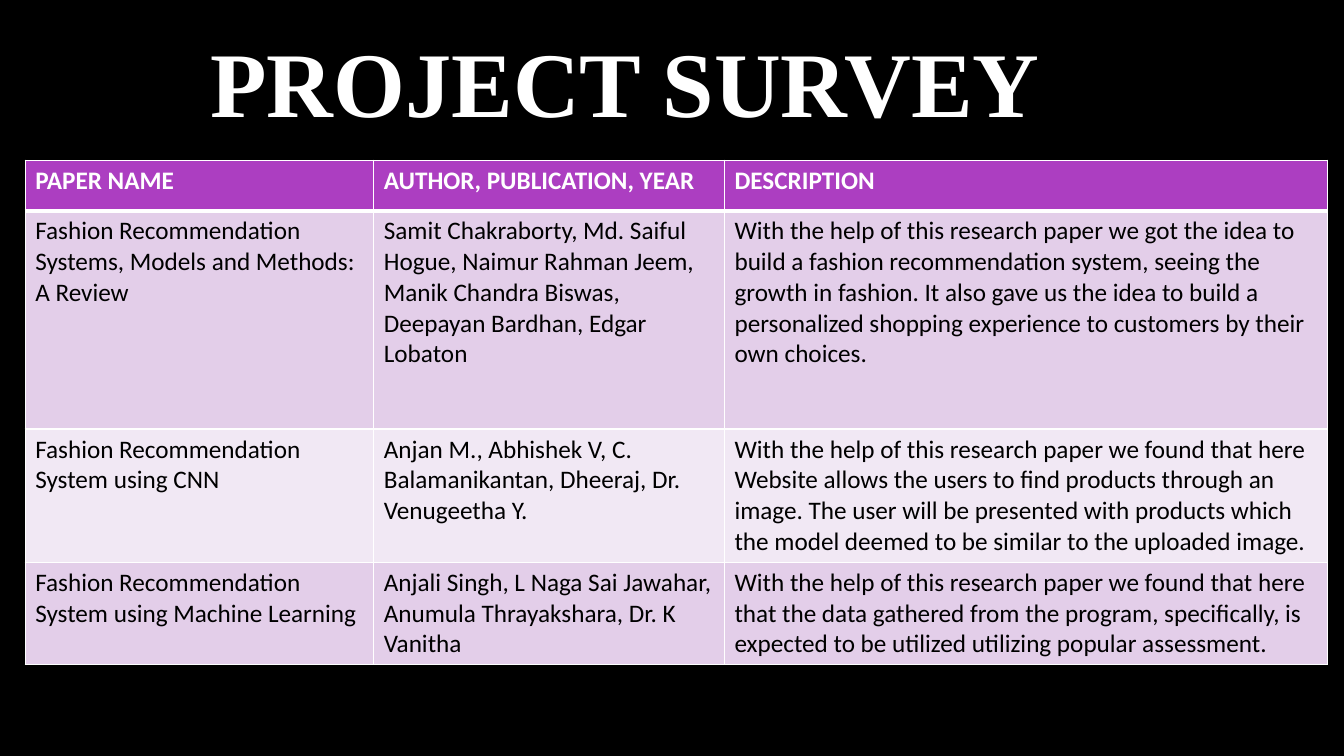
"""Build the project survey slide: a title above a table of papers."""
import pptx
import pptx.dml.color
import pptx.enum.text
import pptx.oxml
import pptx.oxml.ns
import pptx.util

TITLE = "PROJECT SURVEY"
HEADER = ("PAPER NAME", "AUTHOR, PUBLICATION, YEAR", "DESCRIPTION")
PAPERS = [
    (
        "Fashion Recommendation Systems, Models and Methods: A Review",
        "Samit Chakraborty, Md. Saiful Hogue, Naimur Rahman Jeem, "
        "Manik Chandra Biswas, Deepayan Bardhan, Edgar Lobaton",
        "With the help of this research paper we got the idea to build a fashion "
        "recommendation system, seeing the growth in fashion. It also gave us the idea to "
        "build a personalized shopping experience to customers by their own choices.",
    ),
    (
        "Fashion Recommendation System using CNN",
        "Anjan M., Abhishek V, C. Balamanikantan, Dheeraj, Dr. Venugeetha Y.",
        "With the help of this research paper we found that here Website allows the users "
        "to find products through an image. The user will be presented with products which "
        "the model deemed to be similar to the uploaded image.",
    ),
    (
        "Fashion Recommendation System using Machine Learning",
        "Anjali Singh, L Naga Sai Jawahar, Anumula Thrayakshara, Dr. K Vanitha",
        "With the help of this research paper we found that here that the data gathered "
        "from the program, specifically, is expected to be utilized utilizing popular "
        "assessment.",
    ),
]
COLORS = {
    "background": "000000",
    "light": "FFFFFF",
    "dark": "000000",
    "header": "AC3EC1",
    "odd": "E3CEE9",
    "even": "F1E8F4",
}
SLIDE_SIZE = (960, 540)
TITLE_BOX = (47.5, 0, 798, 114.5)
TABLE_ORIGIN = (18, 114.5)
COLUMN_WIDTHS = (249, 250.5, 430.5)
ROW_HEIGHTS = (36, 156, 95, 73)

Pt = pptx.util.Pt


def color(name):
    return pptx.dml.color.RGBColor.from_string(COLORS[name])


def format_runs(paragraph, font_name, size, color_name, bold):
    for run in paragraph.runs:
        run.font.name = font_name
        run.font.size = Pt(size)
        run.font.bold = bold
        run.font.color.rgb = color(color_name)


def add_borders(cell, top, bottom):
    properties = cell._tc.get_or_add_tcPr()
    for side, width in (("L", 1), ("R", 1), ("T", top), ("B", bottom)):
        properties.append(pptx.oxml.parse_xml(
            f'<a:ln{side} {pptx.oxml.ns.nsdecls("a")} w="{Pt(width)}"><a:solidFill>'
            f'<a:srgbClr val="{COLORS["light"]}"/></a:solidFill></a:ln{side}>'))


def add_title(slide):
    title = slide.shapes.title
    title.left, title.top, title.width, title.height = map(Pt, TITLE_BOX)
    title.text_frame.text = TITLE
    title.text_frame.vertical_anchor = pptx.enum.text.MSO_ANCHOR.MIDDLE
    paragraph = title.text_frame.paragraphs[0]
    paragraph.alignment = pptx.enum.text.PP_ALIGN.CENTER
    format_runs(paragraph, "Times New Roman", 66, "light", True)


def add_survey_table(slide):
    rows = [HEADER, *PAPERS]
    table = slide.shapes.add_table(
        len(rows), len(HEADER), *map(Pt, TABLE_ORIGIN),
        Pt(sum(COLUMN_WIDTHS)), Pt(sum(ROW_HEIGHTS))).table
    for column, width in zip(table.columns, COLUMN_WIDTHS):
        column.width = Pt(width)
    for row_index, texts in enumerate(rows):
        table.rows[row_index].height = Pt(ROW_HEIGHTS[row_index])
        is_header = row_index == 0
        fill_name = "header" if is_header else ("even", "odd")[row_index % 2]
        for column_index, text in enumerate(texts):
            cell = table.cell(row_index, column_index)
            cell.text_frame.text = text
            format_runs(cell.text_frame.paragraphs[0], "Calibri", 18,
                        "light" if is_header else "dark", is_header)
            add_borders(cell, 3 if row_index == 1 else 1, 3 if is_header else 1)
            cell.fill.solid()
            cell.fill.fore_color.rgb = color(fill_name)


def main():
    presentation = pptx.Presentation()
    presentation.slide_width, presentation.slide_height = map(Pt, SLIDE_SIZE)
    slide = presentation.slides.add_slide(presentation.slide_layouts[5])
    slide.background.fill.solid()
    slide.background.fill.fore_color.rgb = color("background")
    add_title(slide)
    add_survey_table(slide)
    presentation.save("out.pptx")


if __name__ == "__main__":
    main()
